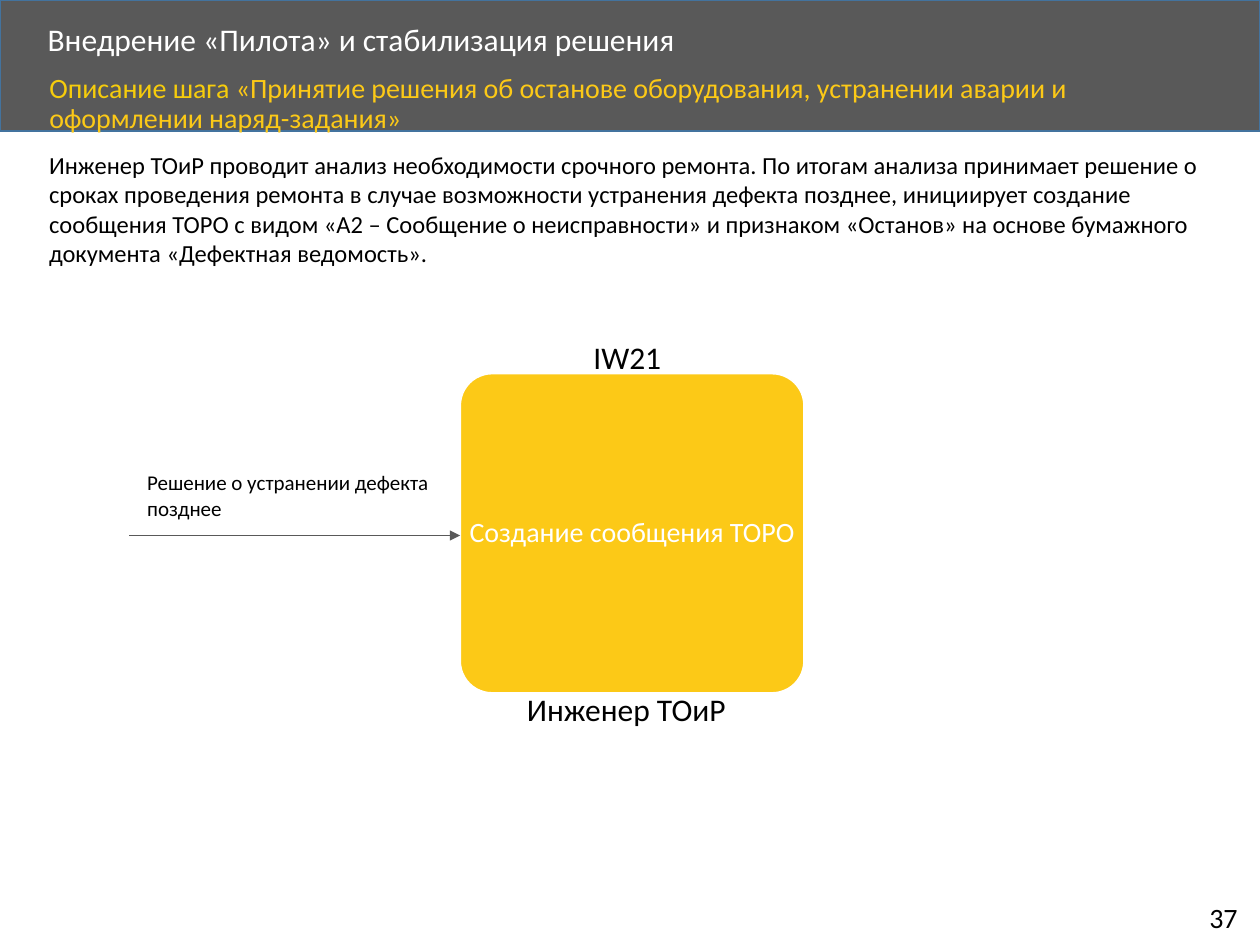
from dataclasses import dataclass

import pptx
import pptx.dml.color
import pptx.enum.shapes
import pptx.enum.text
import pptx.oxml.ns
import pptx.util
from lxml import etree

Pt = pptx.util.Pt
ALIGN = pptx.enum.text.PP_ALIGN
ANCHOR = pptx.enum.text.MSO_ANCHOR
SHAPE = pptx.enum.shapes.MSO_SHAPE
qn = pptx.oxml.ns.qn

FONT = "Calibri"
BLACK, WHITE, GRAY, YELLOW = "000000", "FFFFFF", "595959", "FCC917"


@dataclass
class Box:
    left: float
    top: float
    width: float
    height: float

    def lengths(self) -> tuple:
        return Pt(self.left), Pt(self.top), Pt(self.width), Pt(self.height)


@dataclass
class Label:
    box: Box
    text: str
    size: float
    wrap: bool = True


def color(hex_string: str) -> pptx.dml.color.RGBColor:
    return pptx.dml.color.RGBColor.from_string(hex_string)


def write(sp, *runs, size=14, align=ALIGN.LEFT, anchor=ANCHOR.TOP,
          spacing=1.0, wrap=True) -> None:
    """Fill a shape with one paragraph of (text, colour) runs."""
    tf = sp.text_frame
    tf.word_wrap = wrap
    tf.auto_size = pptx.enum.text.MSO_AUTO_SIZE.NONE
    tf.vertical_anchor = anchor
    p = tf.paragraphs[0]
    p.alignment = align
    p.line_spacing = spacing
    p.space_before = Pt(0)
    for text, hex_string in runs:
        r = p.add_run()
        r.text = text
        r.font.name = FONT
        r.font.size = Pt(size)
        r.font.color.rgb = color(hex_string)


def place(sp, box: Box) -> None:
    sp.left, sp.top, sp.width, sp.height = box.lengths()


def add_block(s, kind, box: Box, fill: str, line: str):
    sp = s.shapes.add_shape(kind, *box.lengths())
    sp.shadow.inherit = False
    sp.fill.solid()
    sp.fill.fore_color.rgb = color(fill)
    sp.line.color.rgb = color(line)
    sp.line.width = Pt(1)
    return sp


def add_label(s, label: Label) -> None:
    sp = s.shapes.add_textbox(*label.box.lengths())
    write(sp, (label.text, BLACK), size=label.size, wrap=label.wrap)


def add_arrow(s, x1: float, x2: float, y: float) -> None:
    sp = s.shapes.add_connector(pptx.enum.shapes.MSO_CONNECTOR.STRAIGHT,
                                Pt(x1), Pt(y), Pt(x2), Pt(y))
    sp.line.color.rgb = color(GRAY)
    sp.line.width = Pt(0.5)
    etree.SubElement(sp.line._get_or_add_ln(), qn("a:tailEnd"), type="triangle")
    etree.SubElement(sp._element.spPr, qn("a:effectLst"))


LABELS = [
    Label(Box(21, 82, 681, 75),
          "Инженер ТОиР проводит анализ необходимости срочного ремонта. "
          "По итогам анализа принимает решение о сроках проведения ремонта "
          "в случае возможности устранения дефекта позднее, инициирует "
          "создание сообщения ТОРО с видом «A2 – Сообщение о неисправности» "
          "и признаком «Останов» на основе бумажного документа "
          "«Дефектная ведомость».", 14),
    Label(Box(77, 265, 184, 36), "Решение о устранении дефекта позднее", 12),
    Label(Box(294, 391, 130, 29), "Инженер ТОиР", 18),
    Label(Box(332, 189.5, 54, 29), "IW21", 18, wrap=False),
    Label(Box(684, 511, 33, 27), "37", 16, wrap=False),
]


def main() -> None:
    prs = pptx.Presentation()
    prs.slide_width, prs.slide_height = Pt(720), Pt(540)
    s = prs.slides.add_slide(prs.slide_layouts[1])
    title, body = s.placeholders

    # Header band, sent behind the title and subtitle
    band = add_block(s, SHAPE.RECTANGLE, Box(0, 0, 720, 75), GRAY, "43739E")
    s.shapes._spTree.insert(2, band._element)

    place(title, Box(20, 10, 581, 27.5))
    write(title, ("Внедрение «Пилота» и стабилизация решения", WHITE),
          size=18, anchor=ANCHOR.MIDDLE, spacing=0.9)

    place(body, Box(21, 39, 623, 32.5))
    pPr = body.text_frame.paragraphs[0]._p.get_or_add_pPr()
    pPr.set("marL", "0")
    pPr.set("indent", "0")
    etree.SubElement(pPr, qn("a:buNone"))
    write(body, ("Описание шага ", "F6CC0C"),
          ("«Принятие решения об останове оборудования, устранении аварии "
           "и оформлении наряд-задания»", YELLOW), size=16, spacing=0.9)

    # Process step with its incoming arrow
    step = add_block(s, SHAPE.ROUNDED_RECTANGLE, Box(263, 213.5, 196.5, 182.5),
                     YELLOW, WHITE)
    step.adjustments[0] = 0.1
    write(step, ("Создание сообщения ТОРО", WHITE), size=16,
          align=ALIGN.CENTER, anchor=ANCHOR.MIDDLE, spacing=0.9, wrap=False)
    add_arrow(s, 74, 263, 306)

    # Description, captions and page number
    for label in LABELS:
        add_label(s, label)

    prs.save("out.pptx")


if __name__ == "__main__":
    main()
